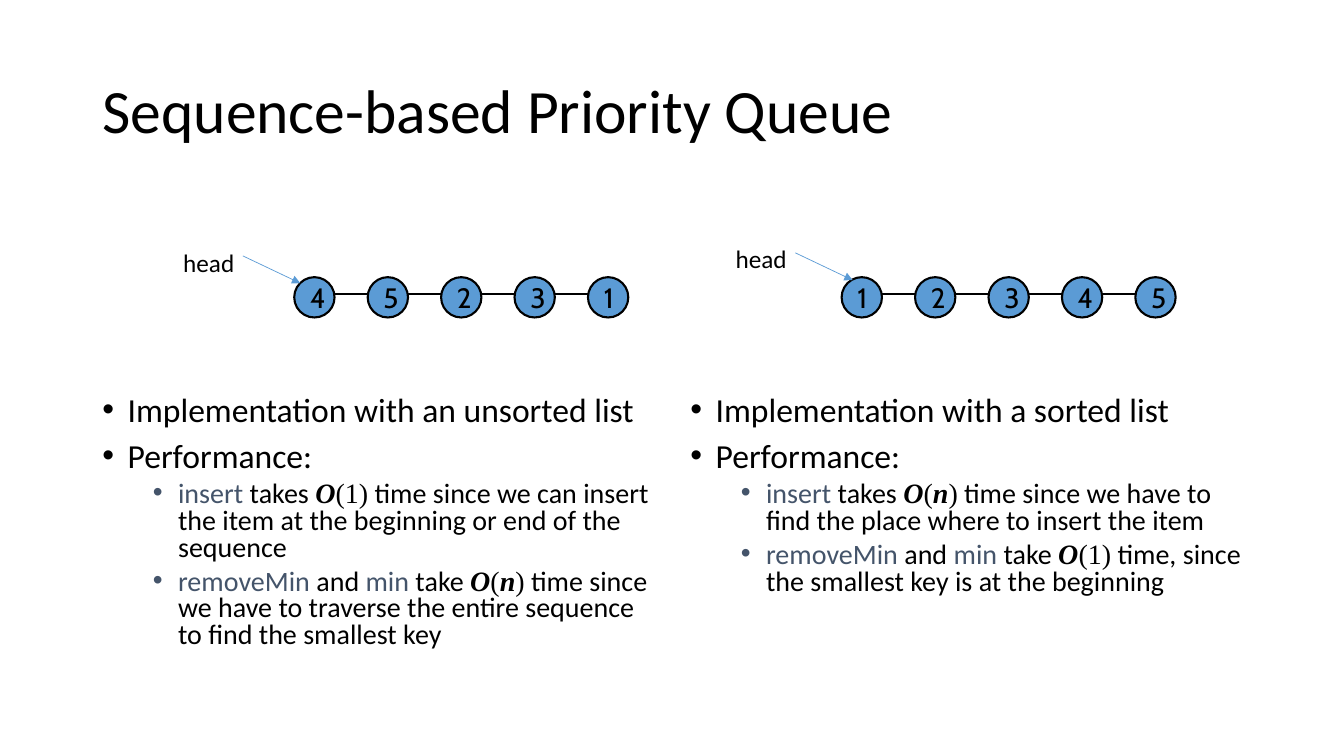
from lxml.etree import SubElement
from pptx import Presentation
from pptx.dml.color import RGBColor
from pptx.enum.shapes import MSO_CONNECTOR, MSO_SHAPE
from pptx.enum.text import MSO_ANCHOR, MSO_AUTO_SIZE, PP_ALIGN
from pptx.oxml.ns import qn
from pptx.util import Pt

COLORS = {"text": "000000", "node": "5B9BD5", "operation": "44546A"}
STYLES = {
    "plain": ("Calibri", "text", False),
    "operation": ("Calibri", "operation", False),
    "variable": ("Times New Roman", "text", True),
    "math": ("Times New Roman", "text", False),
}
NODE_SIZE = 28.8
NODE_PITCH = 52.45
NODE_TOP = 198

UNSORTED_POINTS = [
    (0, [("Implementation with an unsorted list", "plain")]),
    (0, [("Performance:", "plain")]),
    (1, [("insert", "operation"), (" takes ", "plain"), ("O", "variable"), ("(1)", "math"),
         (" time since we can insert the item at the beginning or end of the sequence", "plain")]),
    (1, [("removeMin ", "operation"), ("and ", "plain"), ("min", "operation"), (" take ", "plain"),
         ("O", "variable"), ("(", "math"), ("n", "variable"), (")", "math"),
         (" time since we have to traverse the entire sequence to find the smallest key", "plain")]),
]
SORTED_POINTS = [
    (0, [("Implementation with a sorted list", "plain")]),
    (0, [("Performance:", "plain")]),
    (1, [("insert", "operation"), (" takes ", "plain"), ("O", "variable"), ("(", "math"),
         ("n", "variable"), (")", "math"),
         (" time since we have to find the place where to insert the item", "plain")]),
    (1, [("removeMin", "operation"), (" and ", "plain"), ("min", "operation"), (" take ", "plain"),
         ("O", "variable"), ("(1)", "math"),
         (" time, since the smallest key is at the beginning", "plain")]),
]


def color(name):
    return RGBColor.from_string(COLORS[name])


def place(placeholder, left, top, width, height):
    placeholder.left, placeholder.top = Pt(left), Pt(top)
    placeholder.width, placeholder.height = Pt(width), Pt(height)


def add_run(paragraph, text, size, font="Calibri", color_name="text"):
    run = paragraph.add_run()
    run.text = text
    run.font.name = font
    run.font.size = Pt(size)
    run.font.color.rgb = color(color_name)
    return run


def fill_title(title, text):
    place(title, 66, 28.8, 828, 104.4)
    title.text_frame.vertical_anchor = MSO_ANCHOR.MIDDLE
    title.text_frame.auto_size = MSO_AUTO_SIZE.NONE
    heading = title.text_frame.paragraphs[0]
    heading.alignment = PP_ALIGN.LEFT
    heading.line_spacing = 0.9
    add_run(heading, text, 44)


def add_bullet(paragraph, level):
    properties = paragraph._p.get_or_add_pPr()
    properties.set("marL", str(Pt(54 if level else 18)))
    properties.set("indent", str(Pt(-18)))
    SubElement(properties, qn("a:buFont")).set("typeface", "Arial")
    SubElement(properties, qn("a:buChar")).set("char", "•")


def fill_points(body, left, points):
    place(body, left, 279.5, 408, 207)
    frame = body.text_frame
    frame.auto_size = MSO_AUTO_SIZE.NONE
    frame.vertical_anchor = MSO_ANCHOR.TOP
    for index, (level, parts) in enumerate(points):
        point = frame.add_paragraph() if index else frame.paragraphs[0]
        point.level = level
        point.line_spacing = 0.8
        point.space_before = Pt((5 if level else 10) if index else 0)
        add_bullet(point, level)
        for text, style in parts:
            font, color_name, emphasis = STYLES[style]
            run = add_run(point, text, 20 if level else 24, font, color_name)
            run.font.bold = run.font.italic = emphasis


def add_line(slide, start, end, color_name, width, arrow=False):
    line = slide.shapes.add_connector(
        MSO_CONNECTOR.STRAIGHT, *(Pt(value) for value in start + end))
    line.line.color.rgb = color(color_name)
    line.line.width = Pt(width)
    if arrow:
        SubElement(line.line._get_or_add_ln(), qn("a:tailEnd")).set("type", "triangle")
    SubElement(line._element.spPr, qn("a:effectLst"))


def add_node(slide, left, key):
    node = slide.shapes.add_shape(
        MSO_SHAPE.OVAL, Pt(left), Pt(NODE_TOP), Pt(NODE_SIZE), Pt(NODE_SIZE))
    node.shadow.inherit = False
    node.fill.solid()
    node.fill.fore_color.rgb = color("node")
    node.line.color.rgb = color("text")
    node.line.width = Pt(1.5)
    node.text_frame.word_wrap = False
    node.text_frame.vertical_anchor = MSO_ANCHOR.MIDDLE
    label = node.text_frame.paragraphs[0]
    label.alignment = PP_ALIGN.LEFT
    add_run(label, key, 20, "Cabin")


def add_linked_list(slide, left, keys):
    last_left = left + (len(keys) - 1) * NODE_PITCH
    add_line(slide, (left + 24, 210), (last_left, 210), "text", 1.5)
    for index, key in enumerate(keys):
        add_node(slide, left + index * NODE_PITCH, key)


def add_head(slide, left, top):
    add_line(slide, (left + 49.7, top + 10), (left + 90.7, top + 29.5), "node", 0.5, arrow=True)
    head = slide.shapes.add_textbox(Pt(left), Pt(top), Pt(51.8), Pt(29))
    head.text_frame.word_wrap = False
    head.text_frame.auto_size = MSO_AUTO_SIZE.SHAPE_TO_FIT_TEXT
    add_run(head.text_frame.paragraphs[0], "head", 18)


def main():
    presentation = Presentation()
    presentation.slide_width, presentation.slide_height = Pt(960), Pt(540)
    slide = presentation.slides.add_slide(presentation.slide_layouts[3])
    title, unsorted_body, sorted_body = slide.placeholders
    fill_title(title, "Sequence-based Priority Queue")
    fill_points(unsorted_body, 66, UNSORTED_POINTS)
    fill_points(sorted_body, 486, SORTED_POINTS)
    add_linked_list(slide, 210.2, "45231")
    add_linked_list(slide, 601.2, "12345")
    add_head(slide, 123.8, 172.8)
    add_head(slide, 518.4, 170.6)
    presentation.save("out.pptx")


if __name__ == "__main__":
    main()
